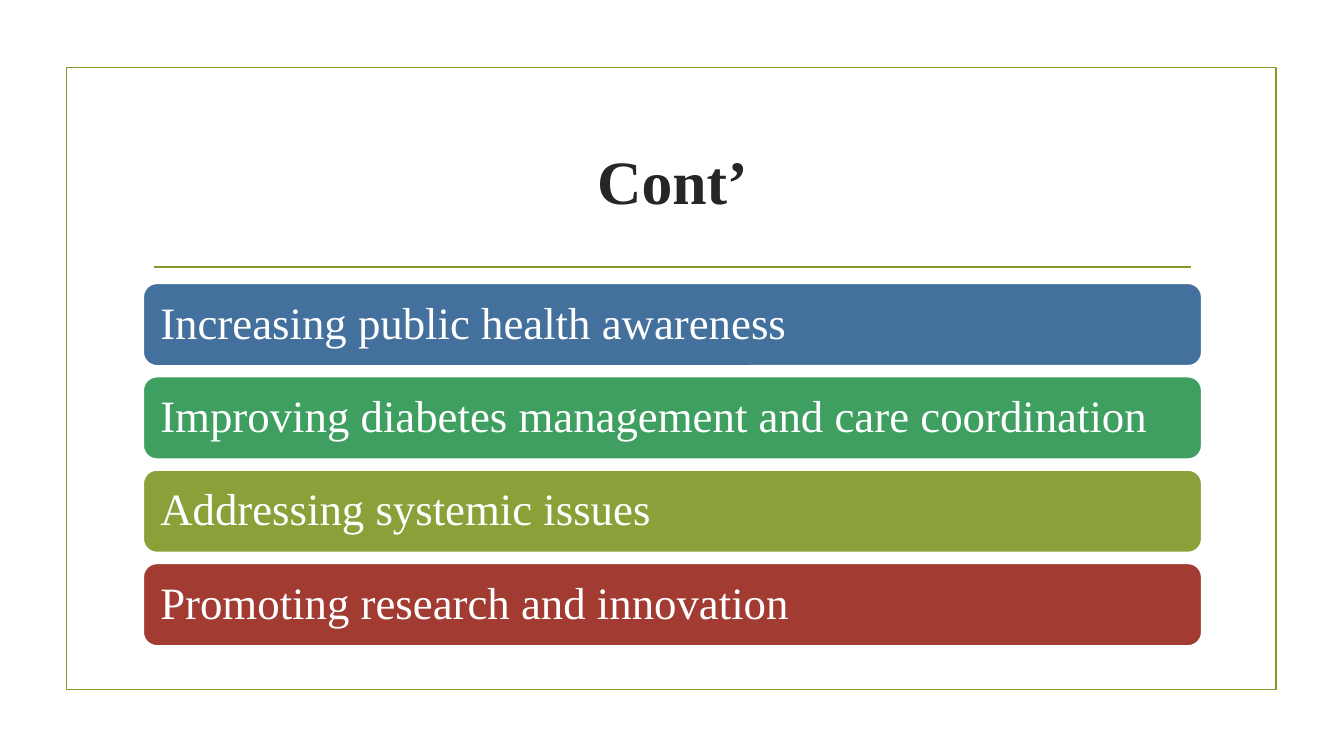
from dataclasses import dataclass

from lxml import etree
from pptx import Presentation
from pptx import util as u
from pptx.dml.color import RGBColor
from pptx.enum import shapes, text
from pptx.oxml.ns import qn
from pptx.slide import Slide

FONT = "Times New Roman"
WHITE = RGBColor(0xFF, 0xFF, 0xFF)
INK = RGBColor(0x26, 0x26, 0x26)
OLIVE = RGBColor(0x83, 0x99, 0x2A)
BLUE = RGBColor(0x44, 0x70, 0x9D)
GREEN = RGBColor(0x3E, 0x9F, 0x61)
LIME = RGBColor(0x89, 0xA1, 0x38)
RED = RGBColor(0xA2, 0x3C, 0x33)

LEFT, WIDTH = 1.42, 10.5
TOP, HEIGHT, STEP = 2.81, 0.82, 0.926
LINE = u.Pt(1.25)


@dataclass
class Bar:
    label: str
    fill: RGBColor


BARS = [
    Bar("Increasing public health awareness", BLUE),
    Bar("Improving diabetes management and care coordination", GREEN),
    Bar("Addressing systemic issues", LIME),
    Bar("Promoting research and innovation", RED),
]


def style(para, size: float, color: RGBColor, bold: bool, align) -> None:
    para.alignment = align
    for run in para.runs:
        font = run.font
        font.name, font.size, font.bold = FONT, u.Pt(size), bold
        font.color.rgb = color


def draw_frame(slide: Slide) -> None:
    frame = slide.shapes.add_shape(
        shapes.MSO_SHAPE.RECTANGLE,
        u.Inches(0.66), u.Inches(0.67), u.Inches(12), u.Inches(6.17))
    frame.shadow.inherit = False
    frame.fill.background()
    frame.line.color.rgb = OLIVE
    frame.line.width = LINE


def draw_rule(slide: Slide) -> None:
    rule = slide.shapes.add_connector(
        shapes.MSO_CONNECTOR.STRAIGHT,
        u.Inches(1.53), u.Inches(2.65), u.Inches(11.81), u.Inches(2.65))
    rule.line.color.rgb = OLIVE
    rule.line.width = LINE
    etree.SubElement(rule._element.spPr, qn("a:effectLst"))


def draw_title(slide: Slide, words: str) -> None:
    title = slide.shapes.title
    title.left, title.top = u.Inches(LEFT), u.Inches(1.07)
    title.width, title.height = u.Inches(WIDTH), u.Inches(1.43)
    frame = title.text_frame
    frame.text = words
    frame.vertical_anchor = text.MSO_ANCHOR.MIDDLE
    style(frame.paragraphs[0], 44, INK, True, text.PP_ALIGN.CENTER)


def draw_bar(slide: Slide, bar: Bar, top: float) -> None:
    shape = slide.shapes.add_shape(
        shapes.MSO_SHAPE.ROUNDED_RECTANGLE,
        u.Inches(LEFT), u.Inches(top), u.Inches(WIDTH), u.Inches(HEIGHT))
    shape.shadow.inherit = False
    shape.fill.solid()
    shape.fill.fore_color.rgb = bar.fill
    shape.line.color.rgb = WHITE
    shape.line.width = LINE
    frame = shape.text_frame
    frame.text = bar.label
    frame.word_wrap = True
    frame.vertical_anchor = text.MSO_ANCHOR.MIDDLE
    frame.margin_left = frame.margin_right = u.Inches(0.13)
    frame.margin_top = frame.margin_bottom = u.Inches(0.13)
    para = frame.paragraphs[0]
    para.line_spacing = 0.9
    style(para, 32, WHITE, False, text.PP_ALIGN.LEFT)


def main() -> None:
    deck = Presentation()
    deck.slide_width, deck.slide_height = u.Inches(13.33), u.Inches(7.5)
    slide = deck.slides.add_slide(deck.slide_layouts.get_by_name("Title Only"))

    # Border, heading and the line below it
    draw_frame(slide)
    draw_rule(slide)
    draw_title(slide, "Cont’")

    # Stack of coloured bars
    for row, bar in enumerate(BARS):
        draw_bar(slide, bar, TOP + row * STEP)

    deck.save("out.pptx")


if __name__ == "__main__":
    main()
